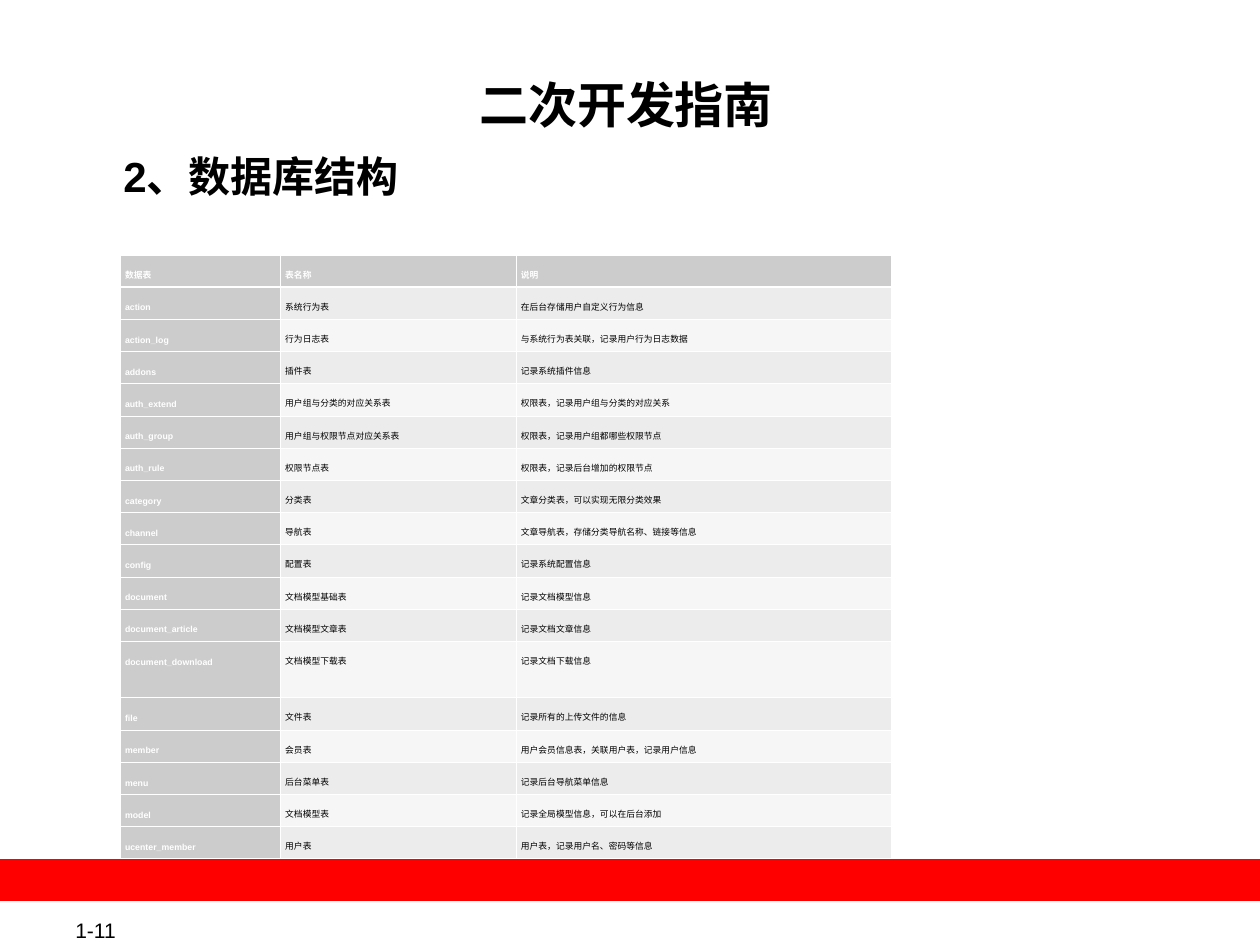
"""Build the slide on the database structure of a development guide."""
import dataclasses

import pptx
import pptx.dml.color
import pptx.enum.shapes
import pptx.enum.text
import pptx.oxml.ns
import pptx.util
from lxml import etree

Cm = pptx.util.Cm
Pt = pptx.util.Pt
ALIGN = pptx.enum.text.PP_ALIGN
ANCHOR = pptx.enum.text.MSO_ANCHOR


@dataclasses.dataclass(frozen=True)
class Theme:
    font: str = "Arial"
    black: str = "000000"
    white: str = "FFFFFF"
    red: str = "FF0000"
    header: str = "CCCCCC"
    bands: tuple = ("ECECEC", "F6F6F6")
    title: float = 28
    subtitle: float = 24
    number: float = 12
    cell: float = 5
    line: float = 0.45
    header_line: float = 1.47


THEME = Theme()
ROWS = [
    ("数据表", "表名称", "说明"),
    ("action", "系统行为表", "在后台存储用户自定义行为信息"),
    ("action_log", "行为日志表", "与系统行为表关联，记录用户行为日志数据"),
    ("addons", "插件表", "记录系统插件信息"),
    ("auth_extend", "用户组与分类的对应关系表", "权限表，记录用户组与分类的对应关系"),
    ("auth_group", "用户组与权限节点对应关系表", "权限表，记录用户组都哪些权限节点"),
    ("auth_rule", "权限节点表", "权限表，记录后台增加的权限节点"),
    ("category", "分类表", "文章分类表，可以实现无限分类效果"),
    ("channel", "导航表", "文章导航表，存储分类导航名称、链接等信息"),
    ("config", "配置表", "记录系统配置信息"),
    ("document", "文档模型基础表", "记录文档模型信息"),
    ("document_article", "文档模型文章表", "记录文档文章信息"),
    ("document_download", "文档模型下载表", "记录文档下载信息"),
    ("file", "文件表", "记录所有的上传文件的信息"),
    ("member", "会员表", "用户会员信息表，关联用户表，记录用户信息"),
    ("menu", "后台菜单表", "记录后台导航菜单信息"),
    ("model", "文档模型表", "记录全局模型信息，可以在后台添加"),
    ("ucenter_member", "用户表", "用户表，记录用户名、密码等信息"),
]
COL_WIDTHS = (3.23, 4.75, 7.57)
ROW_HEIGHT = 0.52
TALL_ROW_HEIGHT = 1.14


def write(tf, text, size, color, bold=False, align=ALIGN.LEFT):
    """Fill a text frame with one formatted paragraph and return it."""
    tf.text = text
    p = tf.paragraphs[0]
    p.alignment = align
    f = p.runs[0].font
    f.name, f.size, f.bold = THEME.font, Pt(size), bold
    f.color.rgb = pptx.dml.color.RGBColor.from_string(color)
    return p


def add_border(cell, side, width):
    """Draw one white edge of a table cell."""
    qn = pptx.oxml.ns.qn
    ln = etree.SubElement(cell._tc.get_or_add_tcPr(), qn(f"a:ln{side}"), w=str(Pt(width)))
    fill = etree.SubElement(ln, qn("a:solidFill"))
    etree.SubElement(fill, qn("a:srgbClr"), val=THEME.white)


prs = pptx.Presentation()
prs.slide_width, prs.slide_height = Cm(25.4), Cm(19.05)
s = prs.slides.add_slide(prs.slide_layouts[5])

bar = s.shapes.add_shape(
    pptx.enum.shapes.MSO_SHAPE.RECTANGLE, Cm(0), Cm(17.32), prs.slide_width, Cm(0.84)
)
bar.shadow.inherit = False
bar.fill.solid()
bar.fill.fore_color.rgb = pptx.dml.color.RGBColor.from_string(THEME.red)
bar.line.fill.background()

number = s.shapes.add_textbox(Cm(1.27), Cm(18.49), Cm(2.69), Cm(0.51))
number.text_frame.vertical_anchor = ANCHOR.MIDDLE
write(number.text_frame, "1-11", THEME.number, THEME.black)

title = s.shapes.title
title.left, title.top, title.width, title.height = Cm(2.46), Cm(1.47), Cm(20.32), Cm(1.52)
subtitle = s.shapes.add_textbox(Cm(2.46), Cm(3), Cm(20.47), Cm(1.09))
for sp in (title, subtitle):
    tf = sp.text_frame
    tf.word_wrap = True
    tf.auto_size = pptx.enum.text.MSO_AUTO_SIZE.NONE
    tf.vertical_anchor = ANCHOR.TOP
    tf.margin_left = tf.margin_top = tf.margin_right = tf.margin_bottom = Cm(0.03)

p = write(title.text_frame, "二次开发指南", THEME.title, THEME.black, True, ALIGN.CENTER)
p.space_before = Pt(7)
p = write(subtitle.text_frame, "2、数据库结构", THEME.subtitle, THEME.black, True)
p.space_before = Pt(6)
pPr = p._p.get_or_add_pPr()
pPr.set("marL", str(Cm(0.95)))
pPr.set("indent", str(Cm(-0.95)))

table = s.shapes.add_table(
    len(ROWS), len(COL_WIDTHS), Cm(2.42), Cm(5.14), Cm(sum(COL_WIDTHS)), Cm(9.98)
).table
for col, width in zip(table.columns, COL_WIDTHS):
    col.width = Cm(width)

for i, values in enumerate(ROWS):
    tall = values[0] == "document_download"
    table.rows[i].height = Cm(TALL_ROW_HEIGHT if tall else ROW_HEIGHT)
    for j, value in enumerate(values):
        cell = table.cell(i, j)
        heading = i == 0 or j == 0
        cell.margin_left = cell.margin_right = Cm(0.1)
        cell.margin_top = cell.margin_bottom = Cm(0.13)
        p = write(
            cell.text_frame, value, THEME.cell, THEME.white if heading else THEME.black, heading
        )
        p.line_spacing = Pt(11)
        for side in "LRTB":
            thick = (i, side) in ((0, "B"), (1, "T"))
            add_border(cell, side, THEME.header_line if thick else THEME.line)
        cell.fill.solid()
        cell.fill.fore_color.rgb = pptx.dml.color.RGBColor.from_string(
            THEME.header if heading else THEME.bands[(i - 1) % 2]
        )

prs.save("out.pptx")
